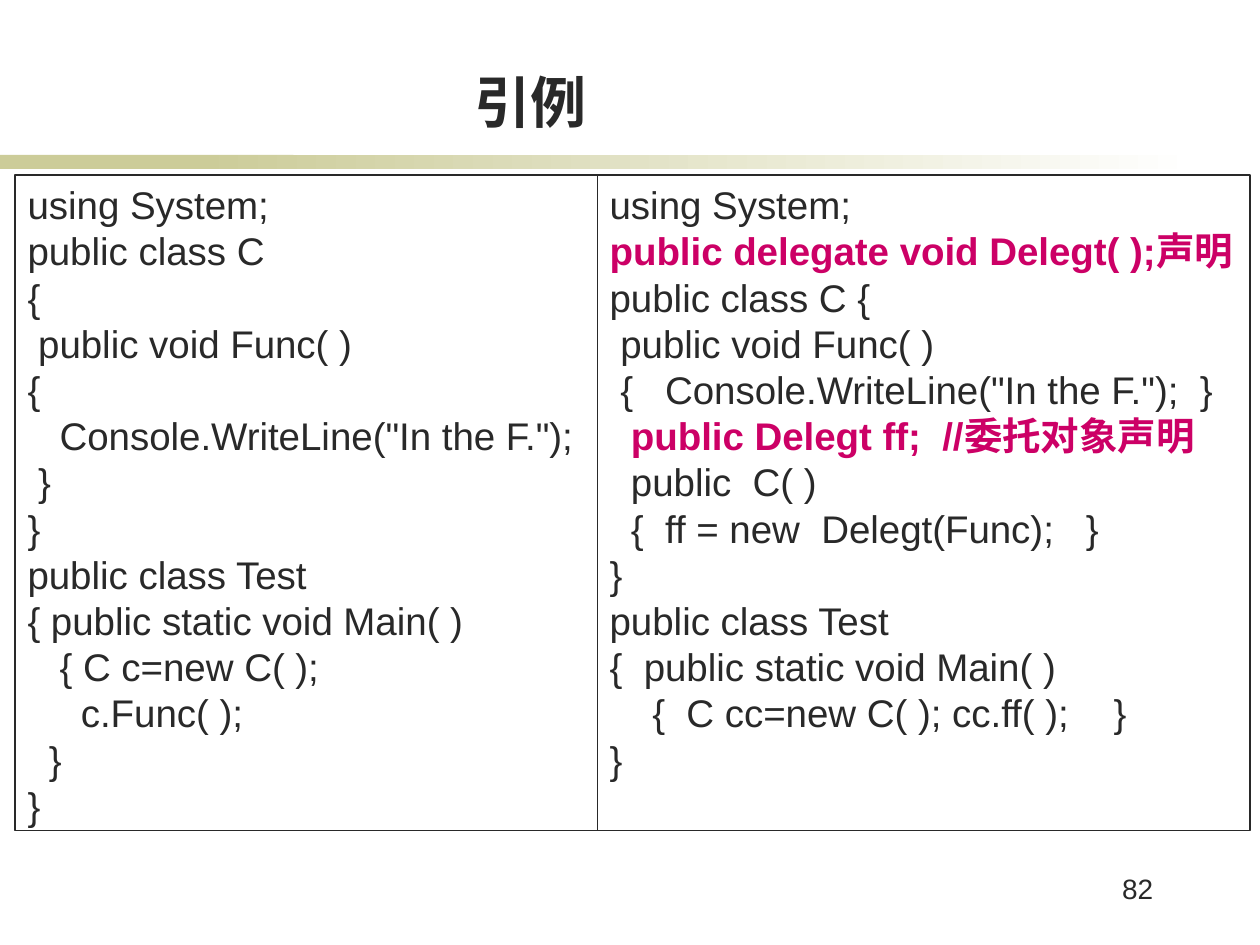
from pptx import Presentation
from pptx.dml.color import RGBColor
from pptx.enum.shapes import MSO_SHAPE
from pptx.enum.text import MSO_ANCHOR, PP_ALIGN
from pptx.util import Inches, Pt

INK, ACCENT, SAND, WHITE = "292929", "CC0066", "CCCC99", "FFFFFF"

# Code listings: a line is a string, or a pair of indent and highlighted code
DIRECT_CALL = [
    "using System;",
    "public class C",
    "{",
    " public void Func( )",
    "{",
    '   Console.WriteLine("In the F.");',
    " }",
    "}",
    "public class Test",
    "{ public static void Main( )",
    "   { C c=new C( );",
    "     c.Func( );",
    "  }",
    "}",
]
DELEGATE_CALL = [
    "using System;",
    ("", "public delegate void Delegt( );声明"),
    "public class C {",
    " public void Func( )",
    ' {   Console.WriteLine("In the F.");  }',
    ("  ", "public Delegt ff;  //委托对象声明"),
    "  public  C( )",
    "  {  ff = new  Delegt(Func);   }",
    "}",
    "public class Test",
    "{  public static void Main( )",
    "    {  C cc=new C( ); cc.ff( );\t}",
    "}",
]


def color(hex_code):
    return RGBColor.from_string(hex_code)


def add_text(paragraph, text, size=22, ink=INK, bold=False, align=PP_ALIGN.LEFT):
    paragraph.alignment = align
    run = paragraph.add_run()
    run.text = text
    run.font.name = "Arial"
    run.font.size = Pt(size)
    run.font.bold = bold
    run.font.color.rgb = color(ink)


def add_rectangle(slide, left, top, width, height):
    rectangle = slide.shapes.add_shape(
        MSO_SHAPE.RECTANGLE, Inches(left), Inches(top), Inches(width), Inches(height))
    rectangle.shadow.inherit = False
    return rectangle


def add_band(slide, left, width, fade=False):
    band = add_rectangle(slide, left, 1.23, width, 0.11)
    band.line.fill.background()
    if fade:
        band.fill.gradient()
        band.fill.gradient_angle = 0
        for stop, position, shade in zip(band.fill.gradient_stops, (0, 1), (SAND, WHITE)):
            stop.position = position
            stop.color.rgb = color(shade)
    else:
        band.fill.solid()
        band.fill.fore_color.rgb = color(SAND)


def add_label(slide, text, left, top, width, height, anchor=MSO_ANCHOR.TOP,
              inset=(0.1, 0.05), **text_format):
    label = slide.shapes.add_textbox(
        Inches(left), Inches(top), Inches(width), Inches(height)).text_frame
    label.word_wrap = True
    label.vertical_anchor = anchor
    label.margin_left = label.margin_right = Inches(inset[0])
    label.margin_top = label.margin_bottom = Inches(inset[1])
    add_text(label.paragraphs[0], text, **text_format)


def add_listing(slide, code, left, width):
    panel = add_rectangle(slide, left, 1.39, width, 5.2)
    panel.fill.background()
    panel.line.color.rgb = color(INK)
    panel.line.width = Pt(0.75)
    frame = panel.text_frame
    frame.word_wrap = True
    frame.vertical_anchor = MSO_ANCHOR.TOP
    for number, line in enumerate(code):
        paragraph = frame.add_paragraph() if number else frame.paragraphs[0]
        if isinstance(line, str):
            add_text(paragraph, line)
        else:
            indent, highlighted = line
            if indent:
                add_text(paragraph, indent)
            add_text(paragraph, highlighted, ink=ACCENT, bold=True)


def main():
    deck = Presentation()
    deck.slide_width, deck.slide_height = Inches(10), Inches(7.5)
    slide = deck.slides.add_slide(deck.slide_layouts[6])

    # Band under the title, fading out to the right
    add_band(slide, 0, 2.33)
    add_band(slide, 1.58, 7.92, fade=True)

    # Page number
    add_label(slide, "82", 8.23, 6.87, 1.02, 0.5, size=16, align=PP_ALIGN.RIGHT)

    # Two listings side by side
    left = 0.12
    for code, width in ((DIRECT_CALL, 4.62), (DELEGATE_CALL, 5.18)):
        add_listing(slide, code, left, width)
        left += width

    # Title
    add_label(slide, "引例", 1.14, 0.44, 6.14, 0.63, anchor=MSO_ANCHOR.BOTTOM,
              inset=(0, 0), size=32, bold=True, align=PP_ALIGN.CENTER)

    deck.save("out.pptx")


if __name__ == "__main__":
    main()
